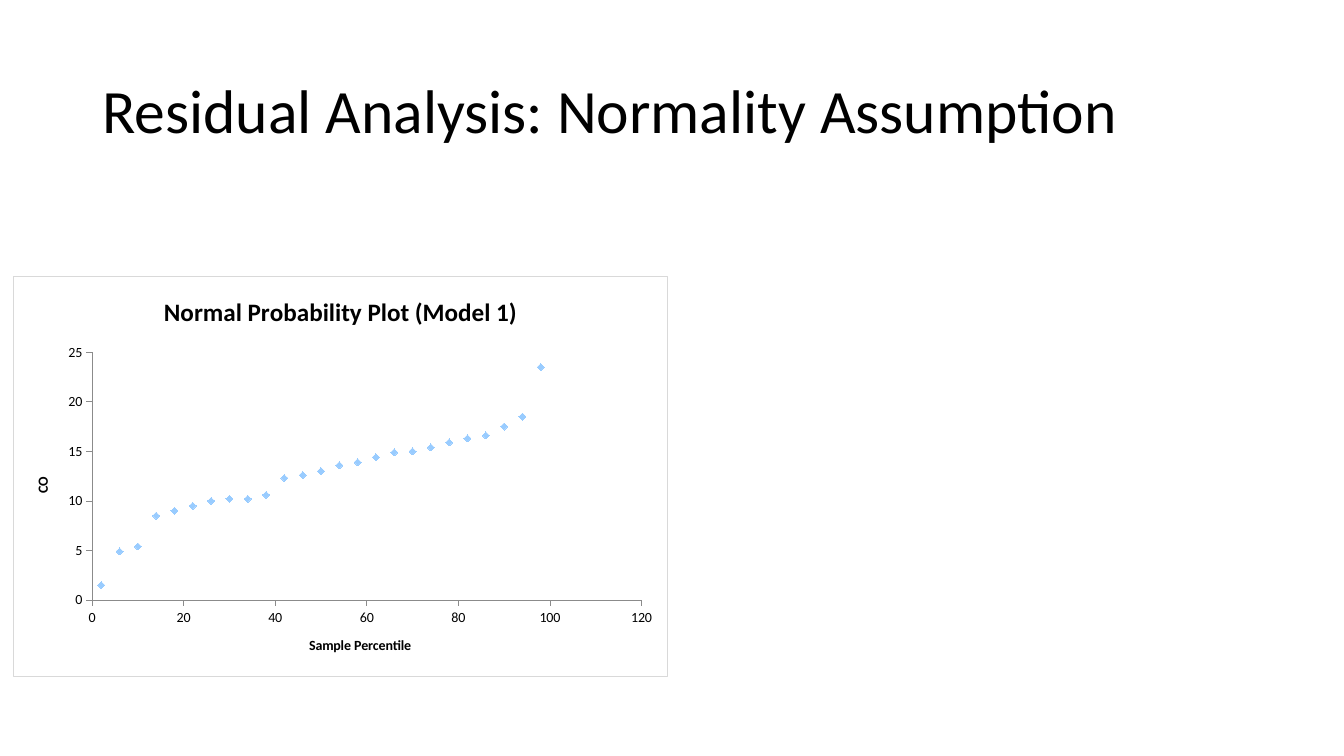
from lxml import etree
from pptx import Presentation
from pptx.chart.data import XyChartData
from pptx.dml.color import RGBColor
from pptx.enum.chart import XL_CHART_TYPE as ChartType
from pptx.enum.chart import XL_MARKER_STYLE as Marker
from pptx.enum.chart import XL_TICK_MARK as Tick
from pptx.enum.text import MSO_ANCHOR as Anchor
from pptx.oxml import parse_xml
from pptx.oxml.ns import nsdecls, qn
from pptx.util import Cm, Pt

COLORS = {"text": "000000", "paper": "FFFFFF", "frame": "D9D9D9",
          "axis": "8B8B8B", "marker": "99CCFF"}
FONT = "Calibri"
CO_VALUES = [1.5, 4.9, 5.4, 8.5, 9, 9.5, 10, 10.2, 10.2, 10.6, 12.3, 12.6, 13,
             13.6, 13.9, 14.4, 14.9, 15, 15.4, 15.9, 16.3, 16.6, 17.5, 18.5, 23.5]
PERCENTILES = range(2, 100, 4)


def color(name):
    return RGBColor.from_string(COLORS[name])


def style_font(font, size, bold=False):
    font.name, font.size, font.bold = FONT, Pt(size), bold
    font.color.rgb = color("text")


def write(frame, text, size, bold=False, line_spacing=None):
    """Put one formatted paragraph into a text frame."""
    para = frame.paragraphs[0]
    para.line_spacing = line_spacing
    span = para.add_run()
    span.text = text
    style_font(span.font, size, bold)


def area_format(border=None):
    """Chart area properties: paper fill, with a thin border or none."""
    line = (f'<a:solidFill><a:srgbClr val="{COLORS[border]}"/></a:solidFill>'
            if border else "<a:noFill/>")
    return parse_xml(
        f'<c:spPr {nsdecls("c", "a")}><a:solidFill><a:srgbClr val="{COLORS["paper"]}"/>'
        f'</a:solidFill><a:ln w="{Pt(0.75)}">{line}</a:ln></c:spPr>')


def place_plot(plot_area, **fractions):
    """Fix the inner plot area, given as x, y, w, h fractions of the chart."""
    for old in plot_area.findall(qn("c:layout")):
        plot_area.remove(old)
    layout = etree.Element(qn("c:layout"))
    manual = etree.SubElement(layout, qn("c:manualLayout"))
    settings = {"layoutTarget": "inner", "xMode": "edge", "yMode": "edge", **fractions}
    for tag, value in settings.items():
        etree.SubElement(manual, qn(f"c:{tag}")).set("val", str(value))
    plot_area.insert(0, layout)


class SlideBuilder:
    def __init__(self, deck):
        self.page = deck.slides.add_slide(deck.slide_layouts[6])

    def title(self, text, left, top, width, height):
        box = self.page.shapes.add_textbox(Cm(left), Cm(top), Cm(width), Cm(height))
        box.text_frame.word_wrap = True
        box.text_frame.vertical_anchor = Anchor.MIDDLE
        write(box.text_frame, text, 44, line_spacing=0.9)

    def axis(self, axis, title, maximum, step):
        axis.minimum_scale, axis.maximum_scale, axis.major_unit = 0, maximum, step
        axis.has_major_gridlines = False
        axis.major_tick_mark, axis.minor_tick_mark = Tick.OUTSIDE, Tick.NONE
        axis.tick_labels.number_format = "General"
        axis.tick_labels.number_format_is_linked = False
        style_font(axis.tick_labels.font, 10)
        axis.format.line.color.rgb = color("axis")
        axis.format.line.width = Pt(0.5)
        write(axis.axis_title.text_frame, title, 10, bold=True)

    def scatter(self, title, points, left, top, width, height):
        data = XyChartData()
        series_data = data.add_series("Series 1")
        for x, y in points:
            series_data.add_data_point(x, y)
        chart = self.page.shapes.add_chart(
            ChartType.XY_SCATTER, Cm(left), Cm(top), Cm(width), Cm(height), data).chart
        style_font(chart.font, 10)
        chart.has_legend = False
        write(chart.chart_title.text_frame, title, 18, bold=True)
        chart.chart_title.include_in_layout = False
        chart.plots[0].vary_by_categories = False
        self.axis(chart.category_axis, "Sample Percentile", 120, 20)
        self.axis(chart.value_axis, "CO", 25, 5)

        series = chart.plots[0].series[0]
        series.smooth = False
        series.format.line.fill.background()
        series.marker.style, series.marker.size = Marker.DIAMOND, 5
        series.marker.format.fill.solid()
        series.marker.format.fill.fore_color.rgb = color("marker")
        series.marker.format.line.color.rgb = color("marker")

        body = chart.element.find(qn("c:chart"))
        plot_area = body.find(qn("c:plotArea"))
        place_plot(plot_area, x=0.12, y=0.19, w=0.84, h=0.62)
        plot_area.append(area_format())
        body.addnext(area_format("frame"))


def main():
    deck = Presentation()
    deck.slide_width, deck.slide_height = Cm(33.87), Cm(19.05)
    builder = SlideBuilder(deck)
    builder.title("Residual Analysis: Normality Assumption", 2.33, 1.01, 29.21, 3.68)
    builder.scatter("Normal Probability Plot (Model 1)", zip(PERCENTILES, CO_VALUES),
                    0.33, 6.95, 16.51, 10.1)
    deck.save("out.pptx")


if __name__ == "__main__":
    main()
